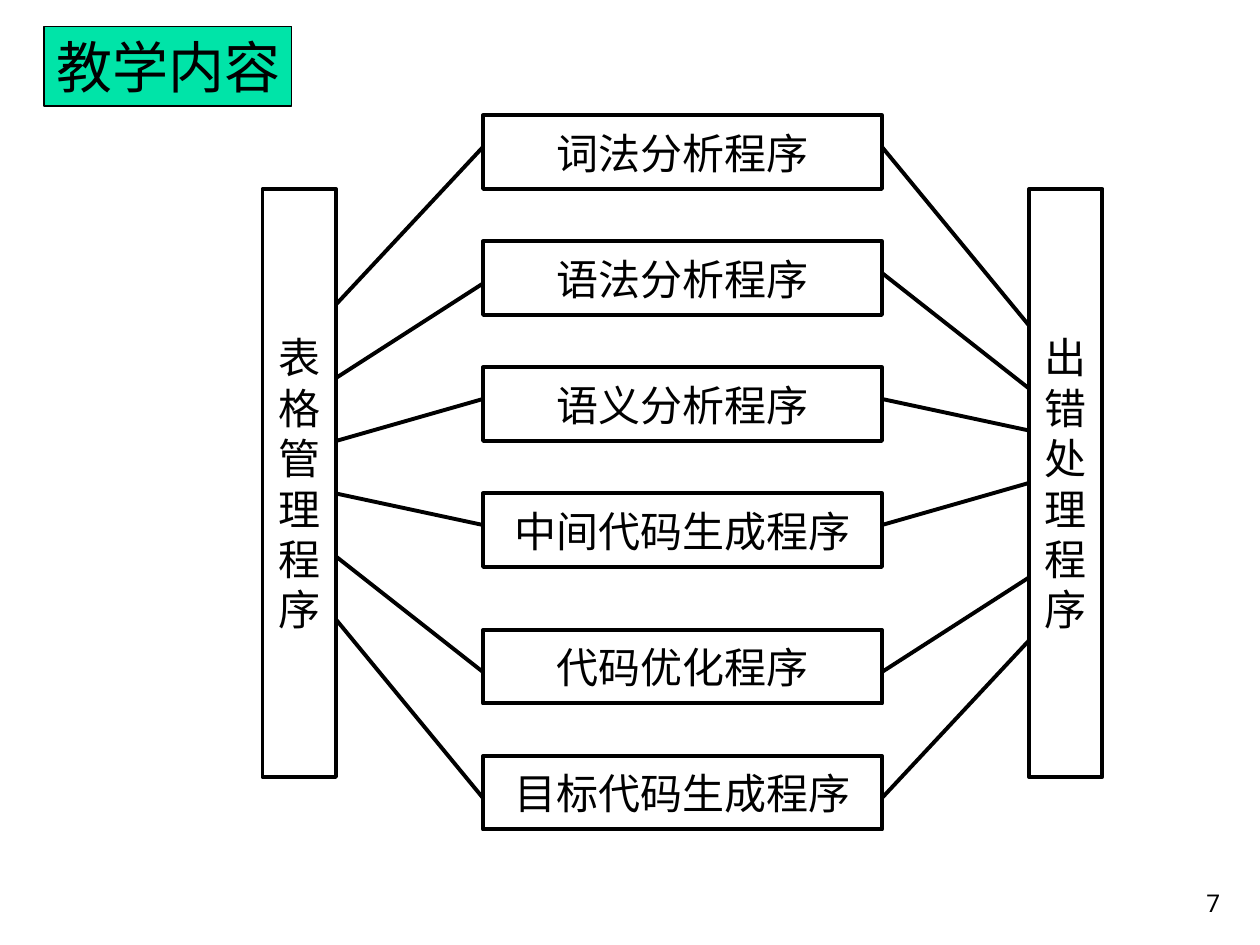
from pptx import Presentation
from pptx import util as u
from pptx.dml.color import RGBColor
from pptx.enum import shapes, text
from pptx.oxml.ns import qn

PX = 7620
CJK_FONT = "Noto Sans CJK JP"
BOX_LEFT, BOX_WIDTH = 460, 380
BAR_TOP, BAR_WIDTH, BAR_HEIGHT = 180, 70, 560
LEFT_BAR, RIGHT_BAR = 250, 980
STAGES = [
    ("词法分析程序", 110, (140, 290), (140, 310)),
    ("语法分析程序", 230, (270, 360), (260, 370)),
    ("语义分析程序", 350, (380, 420), (380, 410)),
    ("中间代码生成程序", 470, (500, 470), (500, 460)),
    ("代码优化程序", 600, (640, 530), (640, 550)),
    ("目标代码生成程序", 720, (760, 590), (760, 610)),
]


def px(*lengths):
    """Turn pixel lengths into EMU."""
    return [u.Emu(length * PX) for length in lengths]


def color(value):
    """Return the colour for a hex string."""
    return RGBColor.from_string(value)


def place(shape, left, top, width, height):
    """Move and size a shape."""
    shape.left, shape.top, shape.width, shape.height = px(left, top, width, height)


def paint(shape, fill, line_width):
    """Give a shape a solid fill and a black outline."""
    shape.fill.solid()
    shape.fill.fore_color.rgb = color(fill)
    shape.line.color.rgb = color("000000")
    shape.line.width = u.Pt(line_width)


def write(shape, lines, size, align, anchor=text.MSO_ANCHOR.MIDDLE,
          font_name=CJK_FONT, wrap=False, spacing=None):
    """Fill a shape with one formatted paragraph for each line."""
    frame = shape.text_frame
    frame.word_wrap = wrap
    frame.auto_size = text.MSO_AUTO_SIZE.NONE
    frame.vertical_anchor = anchor
    frame.text = "\n".join(lines)
    for paragraph in frame.paragraphs:
        paragraph.alignment = align
        if spacing:
            paragraph.line_spacing = u.Pt(spacing)
        for run in paragraph.runs:
            run.font.name = font_name
            run.font.size = u.Pt(size)
            run.font.color.rgb = color("000000")
            properties = run.font._element
            east_asian = properties.makeelement(qn("a:ea"), {"typeface": font_name})
            properties.find(qn("a:latin")).addnext(east_asian)


def add_box(slide, lines, left, top, width, height, spacing=None):
    """Add a white outlined box with centred text."""
    shape = slide.shapes.add_shape(
        shapes.MSO_SHAPE.RECTANGLE, *px(left, top, width, height))
    shape.shadow.inherit = False
    paint(shape, "FFFFFF", 2.25)
    write(shape, lines, 24, text.PP_ALIGN.CENTER, spacing=spacing)


def add_line(slide, start_x, start_y, end_x, end_y):
    """Add a straight black line without a shadow."""
    line = slide.shapes.add_connector(
        shapes.MSO_CONNECTOR.STRAIGHT, *px(start_x, start_y, end_x, end_y))
    line.line.color.rgb = color("000000")
    line.line.width = u.Pt(2.25)
    properties = line._element.spPr
    properties.append(properties.makeelement(qn("a:effectLst"), {}))


def add_title(slide, title):
    """Format the title placeholder as a green label with room for one line."""
    shape = slide.shapes.title
    place(shape, 42, 25, 236, 76)
    paint(shape, "00E4A8", 0.75)
    write(shape, [title], 32, text.PP_ALIGN.LEFT)
    shape.text_frame.margin_right = 0


def add_page_number(slide, number):
    """Add the page number at the lower right."""
    shape = slide.shapes.add_textbox(*px(924, 820, 250, 60))
    write(shape, [number], 14, text.PP_ALIGN.RIGHT, text.MSO_ANCHOR.BOTTOM,
          font_name="Roboto", wrap=True)


def main():
    """Build the compiler structure slide."""
    presentation = Presentation()
    presentation.slide_width, presentation.slide_height = px(1200, 900)
    slide = presentation.slides.add_slide(presentation.slide_layouts[5])
    add_title(slide, "教学内容")
    for label, left in (("表格管理程序", LEFT_BAR), ("出错处理程序", RIGHT_BAR)):
        add_box(slide, label, left, BAR_TOP, BAR_WIDTH, BAR_HEIGHT, spacing=28.8)
    for label, top, (left_box_y, left_bar_y), (right_box_y, right_bar_y) in STAGES:
        add_box(slide, [label], BOX_LEFT, top, BOX_WIDTH, 70)
        add_line(slide, BOX_LEFT, left_box_y, LEFT_BAR + BAR_WIDTH, left_bar_y)
        add_line(slide, RIGHT_BAR, right_bar_y, BOX_LEFT + BOX_WIDTH, right_box_y)
    add_page_number(slide, "7")
    presentation.save("out.pptx")


if __name__ == "__main__":
    main()
